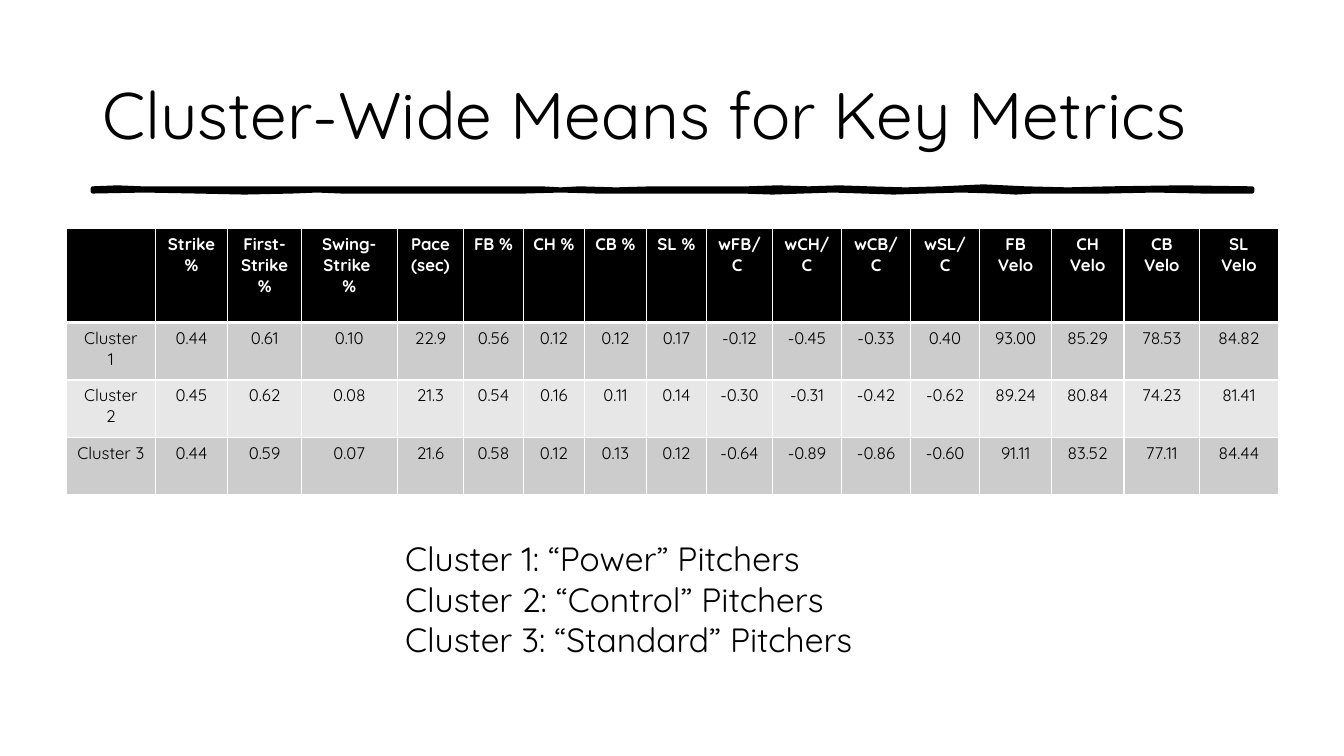
from lxml import etree
from pptx import Presentation
from pptx.dml.color import RGBColor
from pptx.enum.text import MSO_ANCHOR, PP_ALIGN
from pptx.oxml.ns import qn
from pptx.util import Inches, Pt


def color(hex_string):
    return RGBColor.from_string(hex_string)


def write(frame, text, size, ink="000000", bold=False, align=PP_ALIGN.LEFT):
    frame.word_wrap = True
    for index, line in enumerate(text.split("\n")):
        paragraph = frame.paragraphs[0] if index == 0 else frame.add_paragraph()
        paragraph.alignment = align
        run = paragraph.add_run()
        run.text = line
        run.font.name = "Quicksand"
        run.font.size = Pt(size)
        run.font.bold = bold
        run.font.color.rgb = color(ink)


deck = Presentation()
deck.slide_width, deck.slide_height = Inches(13.33), Inches(7.5)
slide = deck.slides.add_slide(deck.slide_layouts[6])

# Brush stroke under the title: each wave is (end x, y halfway to it)
LEFT, RIGHT, TOP, BOTTOM = 0.92, 12.42, 1.87, 1.9
upper_waves = [
    (1.41, 1.86), (2.12, 1.87), (2.96, 1.87), (3.33, 1.87), (3.71, 1.87), (4.65, 1.87),
    (5.37, 1.87), (5.75, 1.88), (6.47, 1.88), (7.41, 1.87), (8.02, 1.86), (8.62, 1.86),
    (9.34, 1.88), (10.17, 1.85), (11.01, 1.88), (RIGHT, 1.86)]
lower_waves = [
    (11.93, 1.9), (10.98, 1.89), (10.26, 1.9), (9.89, 1.91), (9.17, 1.89), (8.56, 1.91),
    (7.96, 1.89), (7.36, 1.91), (6.75, 1.9), (5.92, 1.9), (5.2, 1.89), (4.83, 1.9),
    (4.22, 1.9), (3.39, 1.9), (2.9, 1.89), (1.95, 1.91), (LEFT, 1.89)]

outline = []
for x, y, waves in ((LEFT, TOP, upper_waves), (RIGHT, BOTTOM, lower_waves)):
    outline.append((Inches(x), Inches(y)))
    for end_x, middle_y in waves:
        outline.append((Inches((x + end_x) / 2), Inches(middle_y)))
        outline.append((Inches(end_x), Inches(y)))
        x = end_x
builder = slide.shapes.build_freeform(*outline[0])
builder.add_line_segments(outline[1:], close=True)
brush_stroke = builder.convert_to_shape()
brush_stroke.shadow.inherit = False
brush_stroke.fill.solid()
brush_stroke.fill.fore_color.rgb = color("000000")
brush_stroke.line.color.rgb = color("000000")
brush_stroke.line.width = Pt(3)

# Title
title = slide.shapes.add_textbox(Inches(0.92), Inches(0.4), Inches(11.5), Inches(1.45))
title.text_frame.vertical_anchor = MSO_ANCHOR.MIDDLE
write(title.text_frame, "Cluster-Wide Means for Key Metrics", 47)

# Table of cluster means
metrics = [
    ["", "Strike %", "First-Strike %", "Swing-Strike \n%", "Pace\n(sec)",
     "FB %", "CH %", "CB %", "SL %", "wFB/C ", "wCH/C", "wCB/C", "wSL/C",
     "FB Velo", "CH Velo", "CB Velo", "SL Velo"],
    ["Cluster\n1", "0.44", "0.61", "0.10", "22.9", "0.56", "0.12", "0.12", "0.17",
     "-0.12", "-0.45", "-0.33", "0.40", "93.00", "85.29", "78.53", "84.82"],
    ["Cluster\n2", "0.45", "0.62", "0.08", "21.3", "0.54", "0.16", "0.11", "0.14",
     "-0.30", "-0.31", "-0.42", "-0.62", "89.24", "80.84", "74.23", "81.41"],
    ["Cluster 3", "0.44", "0.59", "0.07", "21.6", "0.58", "0.12", "0.13", "0.12",
     "-0.64", "-0.89", "-0.86", "-0.60", "91.11", "83.52", "77.11", "84.44"]]
column_widths = [0.88, 0.72, 0.73, 0.95, 0.66, 0.59, 0.61, 0.61, 0.6,
                 0.65, 0.69, 0.68, 0.69, 0.71, 0.72, 0.75, 0.78]
row_heights = [0.93, 0.57, 0.57, 0.57]
row_fills = ["000000", "CCCCCC", "E7E7E7", "CCCCCC"]

means = slide.shapes.add_table(
    len(metrics), len(column_widths), Inches(0.66), Inches(2.27),
    Inches(sum(column_widths)), Inches(sum(row_heights))).table
for column, width in zip(means.columns, column_widths):
    column.width = Inches(width)
for row, (values, height) in enumerate(zip(metrics, row_heights)):
    means.rows[row].height = Inches(height)
    for col, value in enumerate(values):
        cell = means.cell(row, col)
        cell.fill.solid()
        cell.fill.fore_color.rgb = color(row_fills[row])
        if value:
            write(cell.text_frame, value, 12, ink="000000" if row else "FFFFFF",
                  bold=row == 0, align=PP_ALIGN.CENTER)
        # White borders, heavier between the header and the body
        borders = {"a:lnL": 1, "a:lnR": 1, "a:lnT": 3 if row == 1 else 1,
                   "a:lnB": 3 if row == 0 else 1}
        properties = cell._tc.get_or_add_tcPr()
        for place, (side, points_wide) in enumerate(borders.items()):
            border = etree.Element(qn(side), w=str(Pt(points_wide)))
            paint = etree.SubElement(border, qn("a:solidFill"))
            etree.SubElement(paint, qn("a:srgbClr"), val="FFFFFF")
            properties.insert(place, border)

# Cluster names
legend = slide.shapes.add_textbox(Inches(3.92), Inches(5.29), Inches(5.11), Inches(1.31))
write(legend.text_frame,
      "Cluster 1: “Power” Pitchers\nCluster 2: “Control” Pitchers\n"
      "Cluster 3: “Standard” Pitchers", 24)

deck.save("out.pptx")
